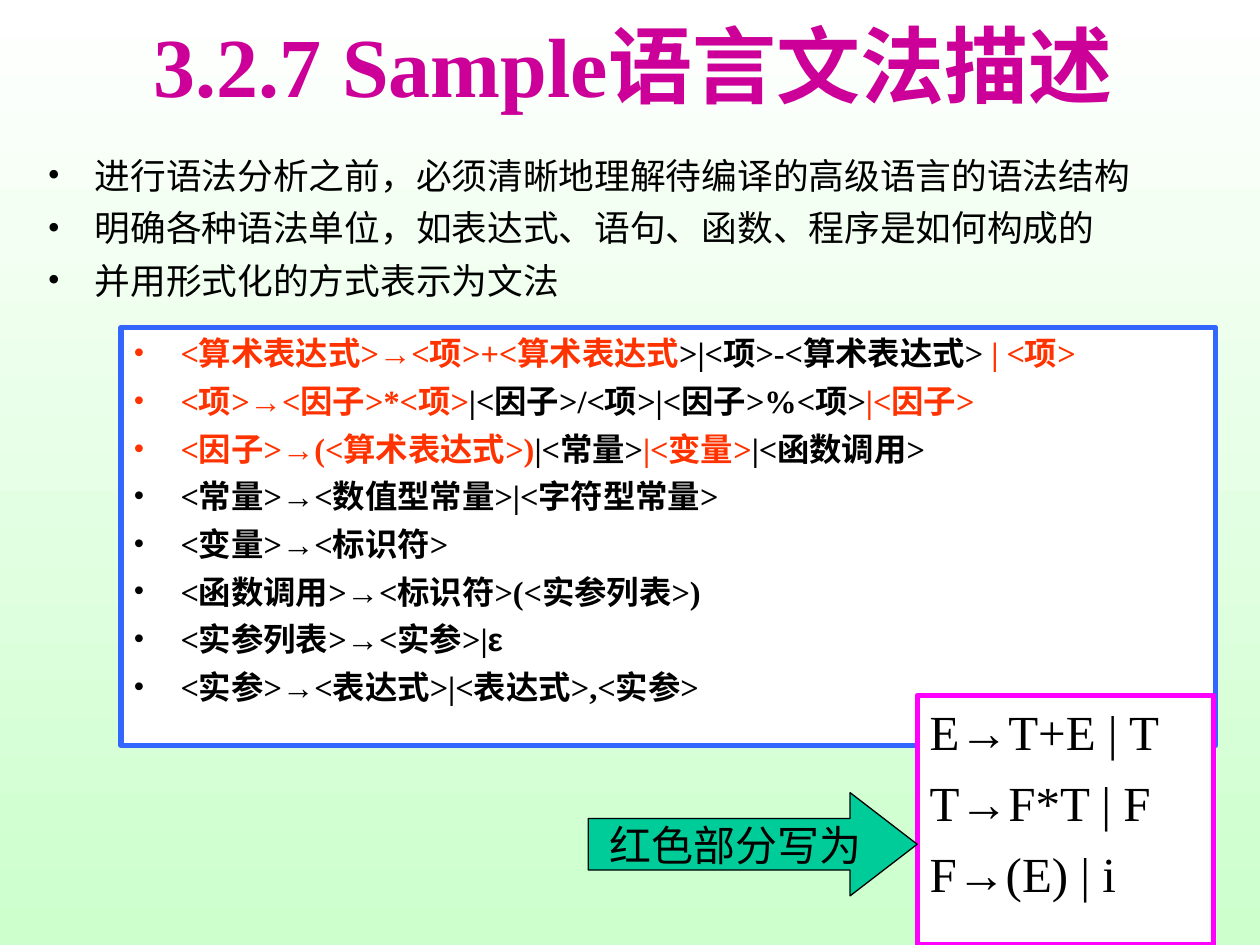
from lxml.etree import SubElement
from pptx import Presentation
from pptx.dml.color import RGBColor
from pptx.enum.shapes import MSO_SHAPE as Shape
from pptx.enum.text import MSO_ANCHOR as Anchor, PP_ALIGN as Align
from pptx.oxml.ns import qn
from pptx.util import Cm, Pt

BLACK = RGBColor(0, 0, 0)
WHITE = RGBColor(255, 255, 255)
MINT = RGBColor(0xCC, 0xFF, 0xCC)
PLUM = RGBColor(0xCC, 0, 0x99)
RED = RGBColor(0xFF, 0x33, 0)
BLUE = RGBColor(0x33, 0x66, 0xFF)
PINK = RGBColor(0xFF, 0, 0xFF)
TEAL = RGBColor(0, 0xCC, 0x99)
TIMES = "Times New Roman"
INDENT = Cm(0.95)

TITLE = "3.2.7 Sample语言文法描述"
# Each paragraph is a list of runs: text, colour, font
POINTS = [[(text, BLACK, TIMES)] for text in (
    "进行语法分析之前，必须清晰地理解待编译的高级语言的语法结构",
    "明确各种语法单位，如表达式、语句、函数、程序是如何构成的",
    "并用形式化的方式表示为文法",
)]
RULES = [
    [("<算术表达式>→<项>+<算术表达式", RED, TIMES),
     (">|<项>-<算术表达式> ", BLACK, TIMES), ("| <项>", RED, TIMES)],
    [("<项>→<因子>*<项>", RED, TIMES),
     ("|<因子>/<项>|<因子>%<项>", BLACK, TIMES), ("|<因子>", RED, TIMES)],
    [("<因子>→(<算术表达式>)", RED, TIMES), ("|<常量>", BLACK, TIMES),
     ("|<变量>", RED, TIMES), ("|<函数调用>", BLACK, TIMES)],
    [("<常量>→<数值型常量>|<字符型常量>", BLACK, TIMES)],
    [("<变量>→<标识符>", BLACK, TIMES)],
    [("<函数调用>→<标识符>(<实参列表>)", BLACK, TIMES)],
    [("<实参列表>→<实参>|", BLACK, TIMES), ("ε", BLACK, "Arial")],
    [("<实参>→<表达式>|<表达式>,<实参>", BLACK, TIMES)],
]
SHORT = [[(text, BLACK, TIMES)]
         for text in ("E→T+E | T", "T→F*T | F", "F→(E) | i")]
LABEL = [[("红色部分写为", BLACK, TIMES)]]


def write(frame, paras, size, gap=0, bold=False, align=Align.LEFT,
          hang=False, bullet=False):
    frame.word_wrap = True
    for i, runs in enumerate(paras):
        para = frame.paragraphs[0] if i == 0 else frame.add_paragraph()
        para.alignment = align
        para.space_before = Pt(gap if i else 0)
        props = para._p.get_or_add_pPr()
        if hang:
            props.set("marL", str(INDENT))
            props.set("indent", str(-INDENT))
        if bullet:
            tint = SubElement(props, qn("a:buClr"))
            SubElement(tint, qn("a:srgbClr"), val=str(runs[0][1]))
            SubElement(props, qn("a:buFont"), typeface=TIMES)
            SubElement(props, qn("a:buChar"), char="•")
        for text, color, face in runs:
            run = para.add_run()
            run.text = text
            font = run.font
            font.name, font.size, font.bold = face, Pt(size), bold
            font.color.rgb = color


def add_box(slide, kind, area, fill, edge, width, anchor=Anchor.TOP):
    box = slide.shapes.add_shape(kind, *map(Cm, area))
    box.shadow.inherit = False
    box.fill.solid()
    box.fill.fore_color.rgb = fill
    box.line.color.rgb = edge
    box.line.width = Pt(width)
    box.text_frame.vertical_anchor = anchor
    return box


def main():
    deck = Presentation()
    deck.slide_width, deck.slide_height = Cm(25.4), Cm(19.05)
    slide = deck.slides.add_slide(deck.slide_layouts[5])

    back = slide.background.fill
    back.gradient()
    back.gradient_angle = 270
    for stop, color in zip(back.gradient_stops, (WHITE, MINT)):
        stop.color.rgb = color

    title = slide.shapes.title
    title.left, title.top, title.width, title.height = map(
        Cm, (1.96, 0, 21.59, 2.57))
    title.text_frame.vertical_anchor = Anchor.MIDDLE
    write(title.text_frame, [[(TITLE, PLUM, TIMES)]], 48, bold=True,
          align=Align.CENTER)

    points = slide.shapes.add_textbox(*map(Cm, (0.71, 2.97, 24.05, 3.35)))
    write(points.text_frame, POINTS, 20.4, 5.5, hang=True, bullet=True)

    rules = add_box(slide, Shape.RECTANGLE, (2.44, 6.6, 22.07, 8.43),
                    WHITE, BLUE, 3)
    write(rules.text_frame, RULES, 18.5, 5, bold=True, hang=True, bullet=True)

    short = add_box(slide, Shape.RECTANGLE, (18.49, 14.02, 5.97, 5.03),
                    WHITE, PINK, 3)
    write(short.text_frame, SHORT, 28, 7, hang=True)

    arrow = add_box(slide, Shape.RIGHT_ARROW, (11.86, 15.98, 6.63, 2.08),
                    TEAL, BLACK, 0.75, Anchor.MIDDLE)
    arrow.adjustments[0], arrow.adjustments[1] = 0.5, 0.65
    write(arrow.text_frame, LABEL, 24, align=Align.CENTER)
    arrow.text_frame.word_wrap = False

    deck.save("out.pptx")


if __name__ == "__main__":
    main()
